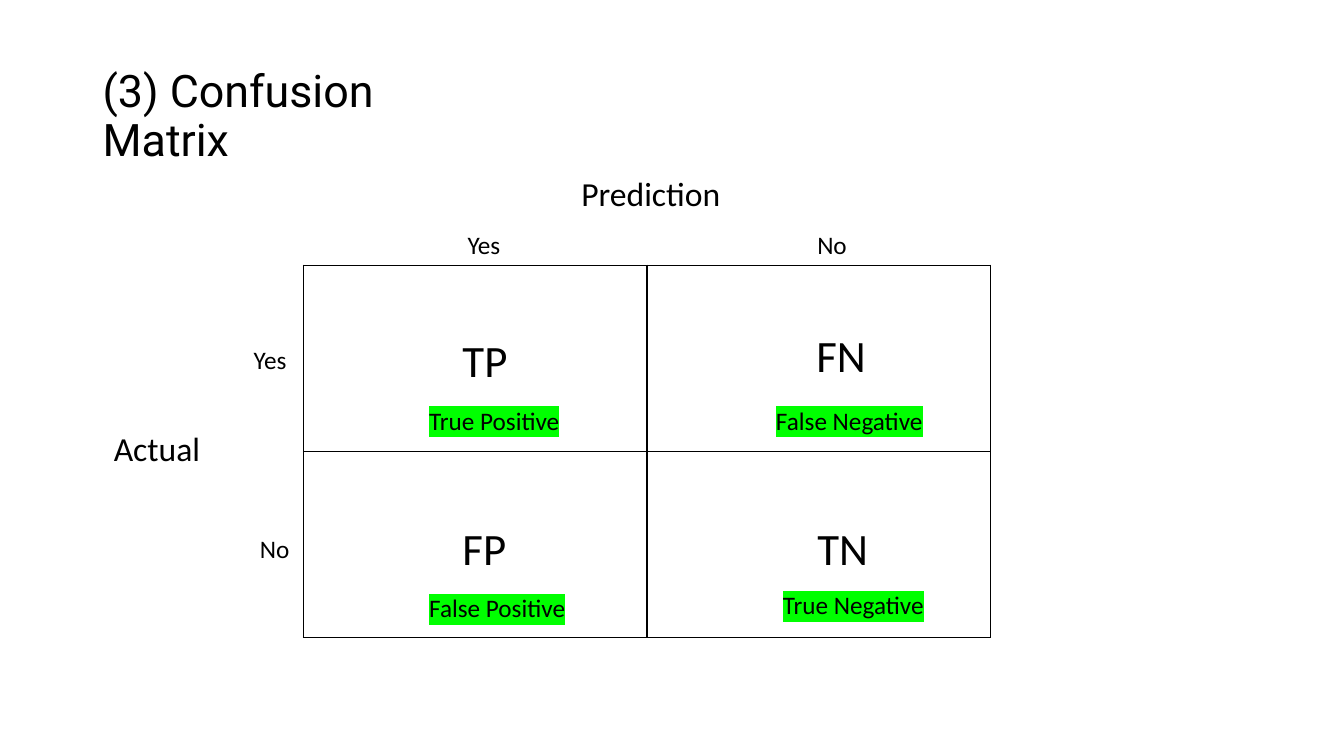
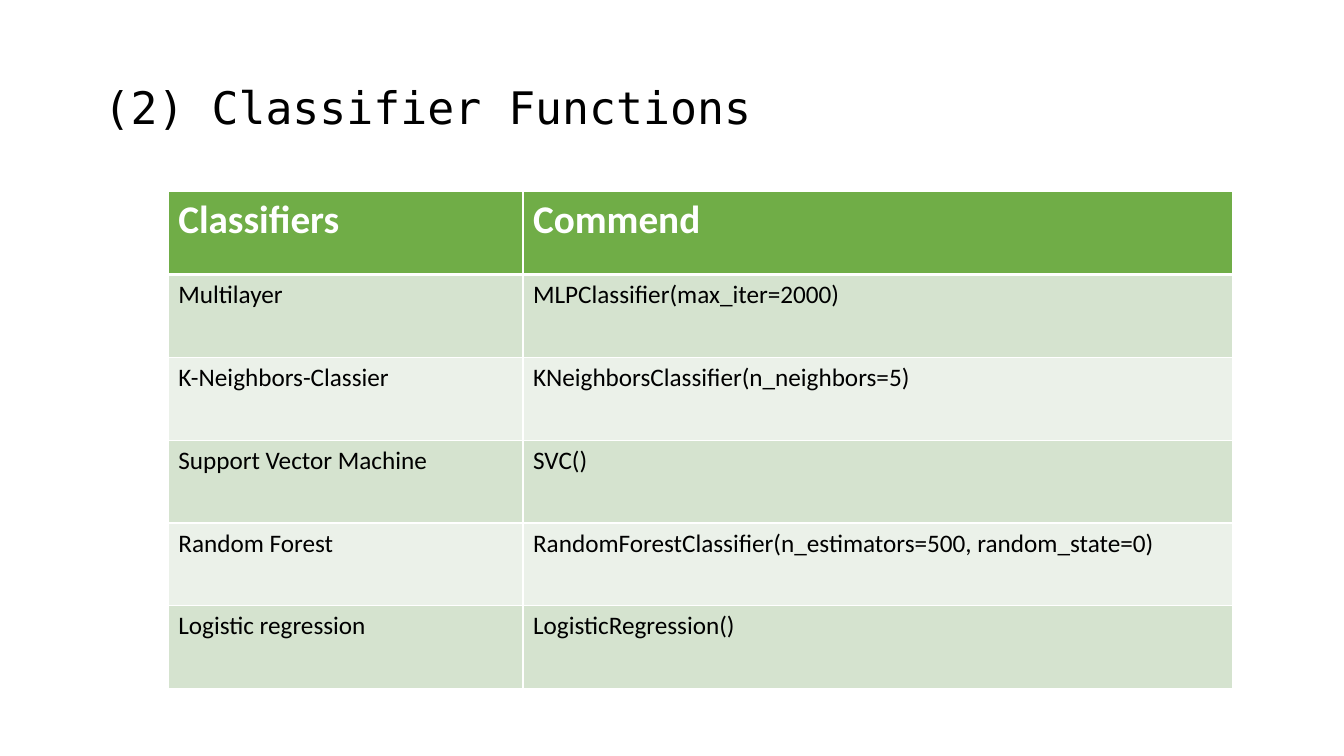
from dataclasses import dataclass

from lxml import etree
from pptx import Presentation
from pptx.dml.color import RGBColor
from pptx.enum.text import MSO_ANCHOR
from pptx.oxml.ns import qn
from pptx.slide import Slide
from pptx.table import Table, _Cell
from pptx.text.text import TextFrame
from pptx.util import Pt

TOP = MSO_ANCHOR.TOP
MIDDLE = MSO_ANCHOR.MIDDLE

BLACK = "000000"
WHITE = "FFFFFF"
HIGHLIGHT = "00FF00"
HEADER_GREEN = "70AD47"
BAND_FILLS = ("D5E3CF", "EBF1E9")

BODY_FONT = "Calibri"
TITLE_SIZE = 32
SYMBOL_SIZE = 32
AXIS_SIZE = 24
BODY_SIZE = 18
HEADER_SIZE = 28

CLASSIFIER_ROWS = (
    ("Classifiers", "Commend"),
    ("Multilayer", "MLPClassifier(max_iter=2000)"),
    ("K-Neighbors-Classier", "KNeighborsClassifier(n_neighbors=5)"),
    ("Support Vector Machine", "SVC()"),
    ("Random Forest", "RandomForestClassifier(n_estimators=500, random_state=0)"),
    ("Logistic regression", "LogisticRegression()"),
)


@dataclass(frozen=True)
class Box:
    left: float
    top: float
    width: float
    height: float


@dataclass(frozen=True)
class Label:
    text: str
    left: float
    top: float
    width: float = 60.5
    size: float = BODY_SIZE
    highlight: str = ""

    @property
    def box(self) -> Box:
        """One line of text plus the default top and bottom insets."""
        return Box(self.left, self.top, self.width, self.size * 1.2 + 7.2)


MATRIX_LABELS = (
    Label("Prediction", 408.2, 120.2, 125.3, AXIS_SIZE),
    Label("Actual", 74.2, 302.4, 108, AXIS_SIZE),
    Label("Yes", 326.9, 160.6),
    Label("No", 576.7, 160.6),
    Label("Yes", 174.2, 242.6),
    Label("No", 178.6, 377.3),
    Label("TP", 323.3, 234, size=SYMBOL_SIZE),
    Label("FN", 576, 230.4, size=SYMBOL_SIZE),
    Label("FP", 323.3, 368.6, size=SYMBOL_SIZE),
    Label("TN", 576.7, 368.6, size=SYMBOL_SIZE),
    Label("True Positive", 299.5, 285.8, 112, highlight=HIGHLIGHT),
    Label("False Negative", 547.2, 285.8, 124, highlight=HIGHLIGHT),
    Label("False Positive", 299.5, 419.8, 116, highlight=HIGHLIGHT),
    Label("True Negative", 552.2, 417.6, 120, highlight=HIGHLIGHT),
)


def color(value: str) -> RGBColor:
    return RGBColor.from_string(value)


def write_text(frame: TextFrame, text: str, size: float, font_name: str = BODY_FONT,
               text_color: str = BLACK, bold: bool = False, highlight: str = "") -> None:
    frame.text = text
    run = frame.paragraphs[0].runs[0]
    run.font.size = Pt(size)
    run.font.name = font_name
    run.font.bold = bold
    run.font.color.rgb = color(text_color)
    if highlight:
        marker = etree.Element(qn("a:highlight"))
        etree.SubElement(marker, qn("a:srgbClr"), val=highlight)
        run._r.get_or_add_rPr().find(qn("a:solidFill")).addnext(marker)


def add_text_frame(slide: Slide, box: Box) -> TextFrame:
    shape = slide.shapes.add_textbox(Pt(box.left), Pt(box.top), Pt(box.width), Pt(box.height))
    shape.text_frame.word_wrap = True
    return shape.text_frame


def add_title(slide: Slide, text: str, box: Box, font_name: str, anchor: MSO_ANCHOR) -> None:
    frame = add_text_frame(slide, box)
    frame.margin_top = frame.margin_bottom = Pt(0)
    frame.vertical_anchor = anchor
    write_text(frame, text, TITLE_SIZE, font_name)
    frame.paragraphs[0].line_spacing = 0.9


def add_label(slide: Slide, label: Label) -> None:
    frame = add_text_frame(slide, label.box)
    write_text(frame, label.text, label.size, highlight=label.highlight)


def add_plain_table(slide: Slide, left: float, top: float, column_widths: tuple[float, ...],
                    row_count: int, row_height: float) -> Table:
    """Add a table without header or banded styling."""
    table = slide.shapes.add_table(
        row_count, len(column_widths), Pt(left), Pt(top),
        Pt(sum(column_widths)), Pt(row_count * row_height)).table
    table.first_row = False
    table.horz_banding = False
    for column, width in zip(table.columns, column_widths):
        column.width = Pt(width)
    for row in table.rows:
        row.height = Pt(row_height)
    return table


def set_borders(cell: _Cell, line_color: str, top: float = 1, bottom: float = 1) -> None:
    """Draw all four borders; call before setting the fill, which must follow them."""
    properties = cell._tc.get_or_add_tcPr()
    for tag, width in (("a:lnL", 1), ("a:lnR", 1), ("a:lnT", top), ("a:lnB", bottom)):
        line = etree.SubElement(properties, qn(tag), w=str(Pt(width)))
        fill = etree.SubElement(line, qn("a:solidFill"))
        etree.SubElement(fill, qn("a:srgbClr"), val=line_color)


def build_matrix_slide(slide: Slide) -> None:
    table = add_plain_table(slide, 216.7, 189.4, (245.5, 245.5), 2, 133)
    for cell in table.iter_cells():
        set_borders(cell, BLACK)
        cell.fill.background()
    add_title(slide, "(3) Confusion Matrix", Box(66.2, 62.6, 283.7, 42.5), "Roboto", MIDDLE)
    for label in MATRIX_LABELS:
        add_label(slide, label)


def build_classifier_slide(slide: Slide) -> None:
    add_title(slide, "(2) Classifier Functions", Box(67, 61.2, 801.4, 60.5),
              "DejaVu Sans Mono", TOP)
    table = add_plain_table(slide, 120.2, 136.8, (253.4, 506.9), len(CLASSIFIER_ROWS), 59.2)
    for row_index, texts in enumerate(CLASSIFIER_ROWS):
        is_header = row_index == 0
        fill_color = HEADER_GREEN if is_header else BAND_FILLS[(row_index - 1) % 2]
        for column_index, text in enumerate(texts):
            cell = table.cell(row_index, column_index)
            set_borders(cell, WHITE, top=3 if row_index == 1 else 1, bottom=3 if is_header else 1)
            cell.fill.solid()
            cell.fill.fore_color.rgb = color(fill_color)
            write_text(cell.text_frame, text, HEADER_SIZE if is_header else BODY_SIZE,
                       text_color=WHITE if is_header else BLACK, bold=is_header)


def main() -> None:
    presentation = Presentation()
    presentation.slide_width = Pt(960)
    presentation.slide_height = Pt(540)
    blank_layout = presentation.slide_layouts[6]
    for build_slide in (build_matrix_slide, build_classifier_slide):
        build_slide(presentation.slides.add_slide(blank_layout))
    presentation.save("out.pptx")


if __name__ == "__main__":
    main()
